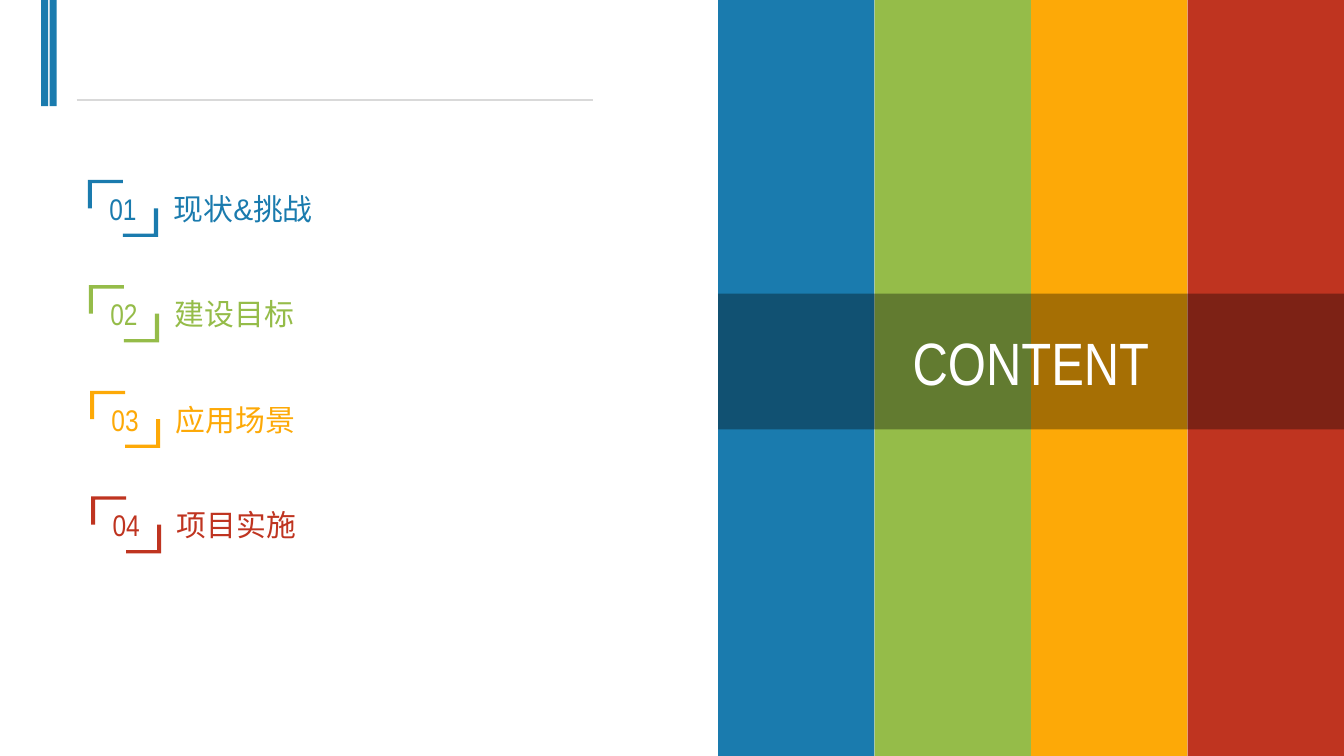
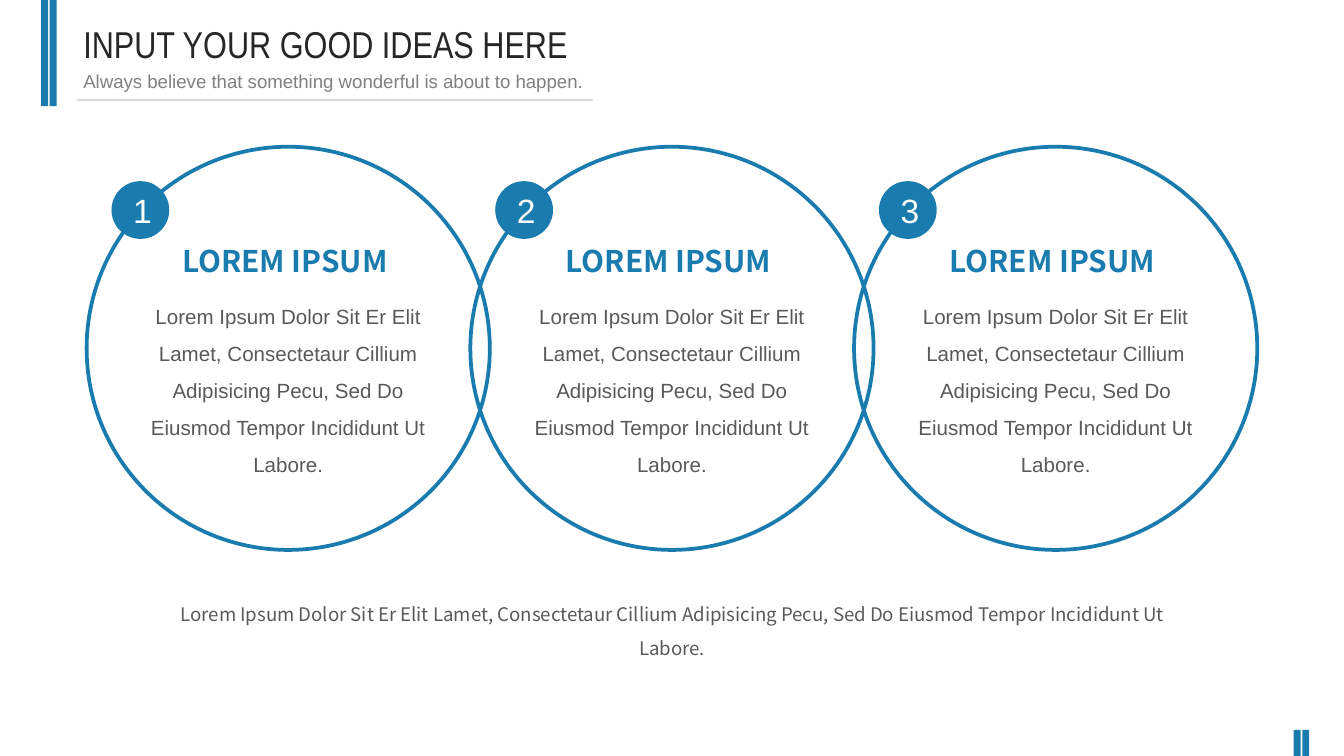
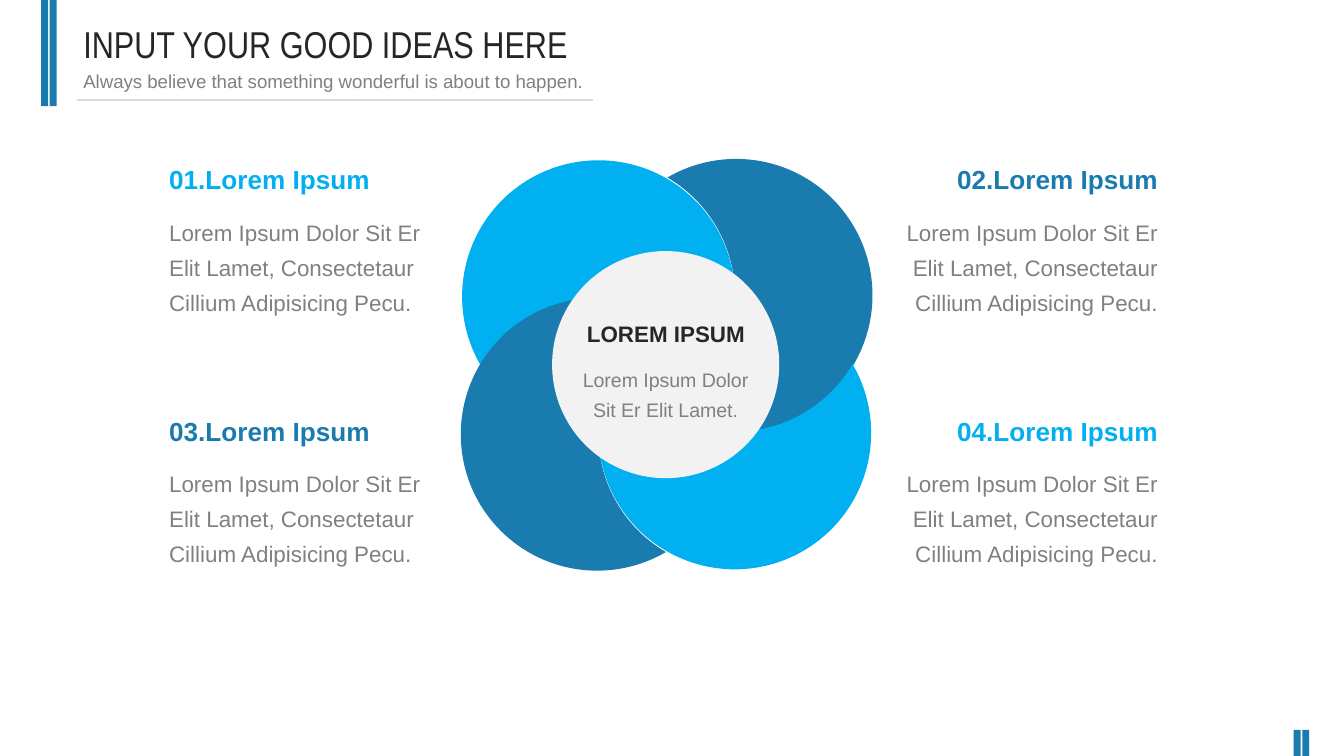
"""Build a three-slide deck: contents, three linked circles, four-petal diagram."""
from dataclasses import dataclass
from math import acos, cos, pi, radians, sin, tan

from lxml.etree import SubElement
from pptx import Presentation
from pptx.dml.color import RGBColor
from pptx.enum.shapes import MSO_CONNECTOR, MSO_SHAPE as SHAPE
from pptx.enum.text import MSO_ANCHOR as ANCHOR, MSO_AUTO_SIZE as FIT, PP_ALIGN as ALIGN
from pptx.oxml.ns import qn
from pptx.util import Inches, Pt


@dataclass(frozen=True)
class Theme:
    blue: str = "1A7BAE"
    green: str = "95BC49"
    amber: str = "FDA907"
    red: str = "BF3420"
    sky: str = "00B0F0"
    ink: str = "262626"
    body: str = "595959"
    muted: str = "808080"
    rule: str = "D9D9D9"
    pale: str = "F2F2F2"
    white: str = "FFFFFF"
    black: str = "000000"
    sans: str = "Arial"
    narrow: str = "Arial Narrow"
    cjk: str = "Noto Sans CJK SC"
    banner: float = 32
    title: float = 20
    badge: float = 18
    heading: float = 16
    subheading: float = 14
    text: float = 12
    small: float = 11
    core: float = 10.5
    note: float = 10


T = Theme()
prs = Presentation()
prs.slide_width, prs.slide_height = Inches(10), Inches(5.625)
U = prs.slide_width / 100
ROWS = prs.slide_height / U
TITLE_ONLY, BLANK = prs.slide_layouts[5], prs.slide_layouts[6]


def draw(slide, kind, *geometry, fill=None, line=None, weight=2):
    """Add a preset shape, a text box or an outline, measured in grid units."""
    if kind == "outline":
        contours = [[(round(x * U), round(y * U)) for x, y in c] for c in geometry]
        builder = slide.shapes.build_freeform(*contours[0][0], scale=1.0)
        builder.add_line_segments(contours[0][1:], close=True)
        for contour in contours[1:]:
            builder.move_to(*contour[0])
            builder.add_line_segments(contour[1:], close=True)
        s = builder.convert_to_shape()
    else:
        box = [round(v * U) for v in geometry]
        s = slide.shapes.add_textbox(*box) if kind == "text" else slide.shapes.add_shape(kind, *box)
    s.shadow.inherit = False
    if fill:
        s.fill.solid()
        s.fill.fore_color.rgb = RGBColor.from_string(fill)
    else:
        s.fill.background()
    if line:
        s.line.color.rgb = RGBColor.from_string(line)
        s.line.width = Pt(weight)
    else:
        s.line.fill.background()
    return s


def write(s, text, size=T.text, color=T.body, font=T.sans, bold=False, align=ALIGN.LEFT,
          anchor=ANCHOR.TOP, leading=None, before=0, wrap=True, grow=True):
    """Set the text of a shape and its format."""
    tf = s.text_frame
    tf.word_wrap = wrap
    tf.auto_size = FIT.SHAPE_TO_FIT_TEXT if grow else FIT.NONE
    tf.vertical_anchor = anchor
    p = tf.paragraphs[0]
    p.alignment, p.line_spacing, p.space_before = align, leading, Pt(before)
    r = p.add_run()
    r.text = text
    r.font.name, r.font.size, r.font.bold = font, Pt(size), bold
    r.font.color.rgb = RGBColor.from_string(color)


contents = prs.slides.add_slide(BLANK)
bars = [(3.07, 0, 7.9), (3.7, 0, 7.9), (96.25, 54.3, ROWS - 54.3), (96.9, 54.3, ROWS - 54.3)]
frame = [draw(contents, SHAPE.RECTANGLE, x, y, 0.52, h, fill=T.blue) for x, y, h in bars]
rule = contents.shapes.add_connector(
    MSO_CONNECTOR.STRAIGHT, *[round(v * U) for v in (5.7, 7.45, 44.1, 7.45)])
rule.line.color.rgb = RGBColor.from_string(T.rule)
rule.line.width = Pt(0.75)
SubElement(rule.element.spPr, qn("a:effectLst"))
for n, s in enumerate([*frame, rule]):
    s.element.xpath(".//p:cNvPr")[0].set("id", str(101 + n))
    prs.slide_master.shapes.element.append(s.element)

PALETTE = [T.blue, T.green, T.amber, T.red]
CENTRED = dict(align=ALIGN.CENTER, anchor=ANCHOR.MIDDLE, grow=False)
for i, (label, color) in enumerate(zip(["现状&挑战", "建设目标", "应用场景", "项目实施"], PALETTE)):
    x, y = 6.54 + 0.08 * i, 13.38 + 7.85 * i
    w, h, mid_x, mid_y, side, edge = 5.22, 4.25, 2.61, 2.12, 0.3, 0.25
    s = draw(contents, "text", x + 5.4, y + 0.3, 39.8, 3.7)
    write(s, label, size=T.heading, color=color)
    lower = [(w - side, mid_y), (w, mid_y), (w, h), (mid_x, h), (mid_x, h - edge), (w - side, h - edge)]
    upper = [(0, 0), (mid_x, 0), (mid_x, edge), (side, edge), (side, mid_y), (0, mid_y)]
    s = draw(contents, "outline", *[[(x + a, y + b) for a, b in c] for c in (lower, upper)], fill=color)
    write(s, f"{i + 1:02}", size=T.heading, color=color, font=T.narrow, **CENTRED)

left = 53.43
stripe = (100 - left) / len(PALETTE)
for i, color in enumerate(PALETTE):
    draw(contents, SHAPE.RECTANGLE, left + i * stripe, 0, stripe, ROWS, fill=color)
s = draw(contents, SHAPE.RECTANGLE, left, 21.85, 100 - left, 10.1, fill=T.black)
SubElement(s.element.spPr.find(".//" + qn("a:srgbClr")), qn("a:alpha"), val="34000")
write(s, "CONTENT", size=T.banner, color=T.white, font=T.narrow, **CENTRED)

circles, petals = [prs.slides.add_slide(TITLE_ONLY) for _ in range(2)]
for slide in (circles, petals):
    s = slide.shapes.title
    s.left, s.top, s.width, s.height = [round(v * U) for v in (5.2, 1.1, 42.3, 4.4)]
    write(s, "INPUT YOUR GOOD IDEAS HERE", size=T.title, color=T.ink, font=T.narrow)
    s = draw(slide, "text", 5.22, 4.7, 42.3, 2.7)
    write(s, "Always\u00a0believe that something\u00a0wonderful is about to happen.", size=T.note, color=T.muted)

LOREM = ("Lorem Ipsum Dolor Sit Er Elit Lamet, Consectetaur Cillium Adipisicing Pecu, "
         "Sed Do Eiusmod Tempor Incididunt Ut Labore.")
for i in range(3):
    x = 6.45 + 28.55 * i
    draw(circles, SHAPE.OVAL, x, 10.92, 30, 30, line=T.blue)
    s = draw(circles, "text", x + 3.2, 21.2, 23.6, 14.9)
    write(s, LOREM, size=T.small, align=ALIGN.CENTER, leading=1.5)
    s = draw(circles, "text", x + 5.45, 17.54, 19.1, 3.7)
    write(s, "LOREM IPSUM ", size=T.heading, color=T.blue, font=T.cjk, bold=True,
          align=ALIGN.CENTER, wrap=False)
    s = draw(circles, SHAPE.OVAL, x + 1.85, 13.48, 4.3, 4.3, fill=T.blue)
    write(s, str(i + 1), size=T.badge, color=T.white, **CENTRED)
s = draw(circles, "text", 10.75, 43.54, 78.5, 5.8)
write(s, LOREM, size=T.note, font=T.cjk, align=ALIGN.CENTER, leading=1.5)

cx, cy, half, radius, tilt = 49.6, 27.15, 5.12, 10.15, 45
spread = acos(half / radius)
for column, row, facing, color in [(1, -1, 180, T.blue), (-1, -1, 90, T.sky),
                                   (1, 1, -90, T.sky), (-1, 1, 0, T.blue)]:
    reach = half + (0.05 if color == T.blue else -0.05)
    x, y = cx + column * reach - radius, cy + row * reach - radius
    d = 2 * radius
    s = draw(petals, "outline", [(x, y), (x + d, y), (x + d, y + d), (x, y + d)], fill=color)
    s.rotation = tilt
    turn = radians(facing - tilt)
    arcs = [(0, turn + spread, 2 * (pi - spread), 4), (2 * half, turn + pi + spread, -2 * spread, 2)]
    curves = []
    for shift, start, sweep, count in arcs:
        ox, oy = radius + shift * cos(turn), radius + shift * sin(turn)
        step = sweep / count
        pull = 4 / 3 * tan(step / 4)
        for n in range(count):
            a, b = start + n * step, start + (n + 1) * step
            curves.append([(ox + radius * (cos(t) - k * sin(t)), oy + radius * (sin(t) + k * cos(t)))
                           for t, k in ((a, pull), (b, -pull), (b, 0))])
    outline = s.element.spPr.find(".//" + qn("a:path"))
    del outline[:]
    for tag, points in [("a:moveTo", curves[-1][-1:]), *[("a:cubicBezTo", c) for c in curves]]:
        command = SubElement(outline, qn(tag))
        for px, py in points:
            SubElement(command, qn("a:pt"), x=str(round(px * U)), y=str(round(py * U)))
    SubElement(outline, qn("a:close"))

draw(petals, SHAPE.OVAL, 41.08, 18.68, 16.9, 16.9, fill=T.pale)
s = draw(petals, "text", 42, 23.3, 15.1, 3)
write(s, "LOREM IPSUM", color=T.ink, bold=True, align=ALIGN.CENTER)
s = draw(petals, "text", 41.43, 26.36, 16.2, 5.6)
write(s, "Lorem Ipsum Dolor Sit Er Elit Lamet.", size=T.core, color=T.muted,
      align=ALIGN.CENTER, leading=1.3, before=6)

for i, (column, row, color) in enumerate([(0, 0, T.sky), (1, 0, T.blue), (0, 1, T.blue), (1, 1, T.sky)]):
    x, y, align = (11.6, 65.94)[column], 11.7 + 18.7 * row, (ALIGN.LEFT, ALIGN.RIGHT)[column]
    s = draw(petals, "text", x, y, 21.2, 3.4)
    write(s, f"{i + 1:02}.Lorem Ipsum", size=T.subheading, color=color, bold=True, align=align)
    s = draw(petals, "text", x, y + 3.5, 21.2, 8.9)
    write(s, "Lorem Ipsum Dolor Sit Er Elit Lamet, Consectetaur Cillium Adipisicing Pecu.",
          color=T.muted, align=align, leading=1.3, before=6)

prs.save("out.pptx")
